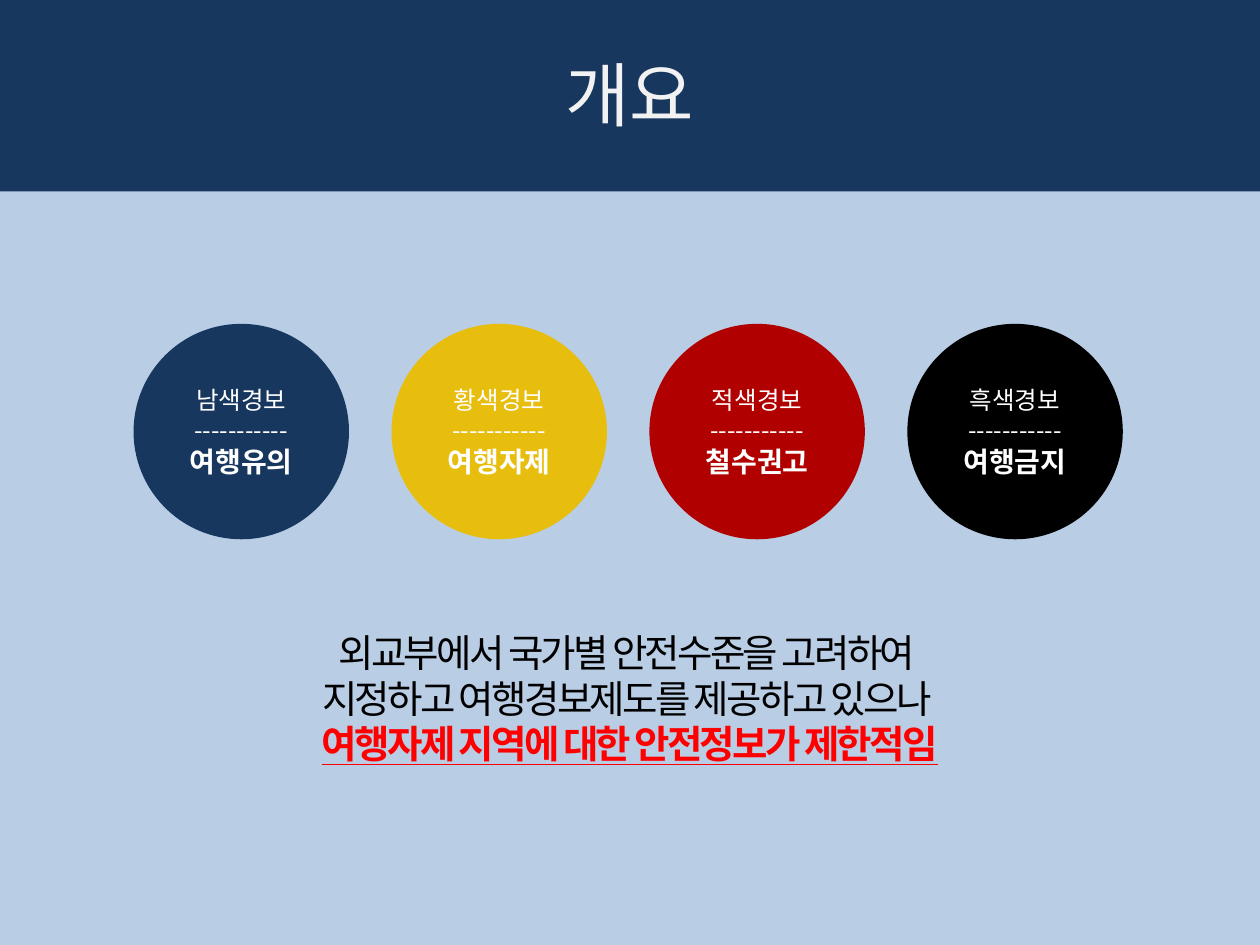
from pptx import Presentation
from pptx.dml.color import RGBColor
from pptx.enum.shapes import MSO_SHAPE
from pptx.enum.text import MSO_ANCHOR, PP_ALIGN
from pptx.oxml.ns import qn
from pptx.util import Inches, Pt

NAVY = RGBColor(0x17, 0x37, 0x5E)
SKY = RGBColor(0xB9, 0xCD, 0xE5)
YELLOW = RGBColor(0xE8, 0xBE, 0x0E)
CRIMSON = RGBColor(0xB0, 0x00, 0x00)
RED = RGBColor(0xFF, 0x00, 0x00)
BLACK = RGBColor(0x00, 0x00, 0x00)
WHITE = RGBColor(0xFF, 0xFF, 0xFF)
OFF_WHITE = RGBColor(0xF2, 0xF2, 0xF2)


class SlideWriter:
    font = "Noto Sans CJK KR"

    def __init__(self, deck):
        self.page = deck.slides.add_slide(deck.slide_layouts[6])

    def background(self, color):
        fill = self.page.background.fill
        fill.solid()
        fill.fore_color.rgb = color

    def shape(self, kind, left, top, width, height, color):
        box = self.page.shapes.add_shape(
            kind, Inches(left), Inches(top), Inches(width), Inches(height))
        box.shadow.inherit = False
        box.fill.solid()
        box.fill.fore_color.rgb = color
        box.line.fill.background()
        box.text_frame.vertical_anchor = MSO_ANCHOR.MIDDLE
        return box.text_frame

    def text_box(self, left, top, width, height):
        box = self.page.shapes.add_textbox(
            Inches(left), Inches(top), Inches(width), Inches(height))
        box.text_frame.word_wrap = True
        return box.text_frame

    def paragraph(self, frame, text, size, color, bold=False, underline=False,
                  tracking=0):
        para = frame.paragraphs[0]
        if para.runs:
            para = frame.add_paragraph()
        para.alignment = PP_ALIGN.CENTER
        span = para.add_run()
        span.text = text
        span.font.name = self.font
        span.font.size = Pt(size)
        span.font.bold = bold
        span.font.underline = underline
        span.font.color.rgb = color
        properties = span.font._element
        if tracking:
            properties.set("spc", str(int(tracking * 100)))
        east_asian = properties.makeelement(qn("a:ea"), {"typeface": self.font})
        properties.find(qn("a:latin")).addnext(east_asian)
        return para


def main():
    deck = Presentation()
    deck.slide_width = Inches(10)
    deck.slide_height = Inches(7.5)
    writer = SlideWriter(deck)
    writer.background(SKY)

    title = writer.shape(MSO_SHAPE.RECTANGLE, 0, -0.03, 10, 1.55, NAVY)
    writer.paragraph(title, "개요", 40, OFF_WHITE)

    summary = writer.text_box(0.67, 5.01, 8.66, 1.5)
    for text, color, strong in (
        ("외교부에서 국가별 안전수준을 고려하여 ", BLACK, False),
        ("지정하고 여행경보제도를 제공하고 있으나 ", BLACK, False),
        ("여행자제 지역에 대한 안전정보가 제한적임", RED, True),
    ):
        para = writer.paragraph(summary, text, 22, color, strong, strong, -1.5)
        para.line_spacing = 0.82
        para.space_before = Pt(4.4)

    alerts = (
        ("남색경보", "여행유의", NAVY),
        ("황색경보", "여행자제", YELLOW),
        ("적색경보", "철수권고", CRIMSON),
        ("흑색경보", "여행금지", BLACK),
    )
    diameter, pitch = 1.71, 2.047
    for index, (level, advice, color) in enumerate(alerts):
        circle = writer.shape(MSO_SHAPE.OVAL, 1.06 + index * pitch, 2.57,
                              diameter, diameter, color)
        writer.paragraph(circle, level, 14, WHITE)
        writer.paragraph(circle, "-----------", 14, WHITE)
        writer.paragraph(circle, advice, 16, WHITE, bold=True)

    deck.save("out.pptx")


if __name__ == "__main__":
    main()
